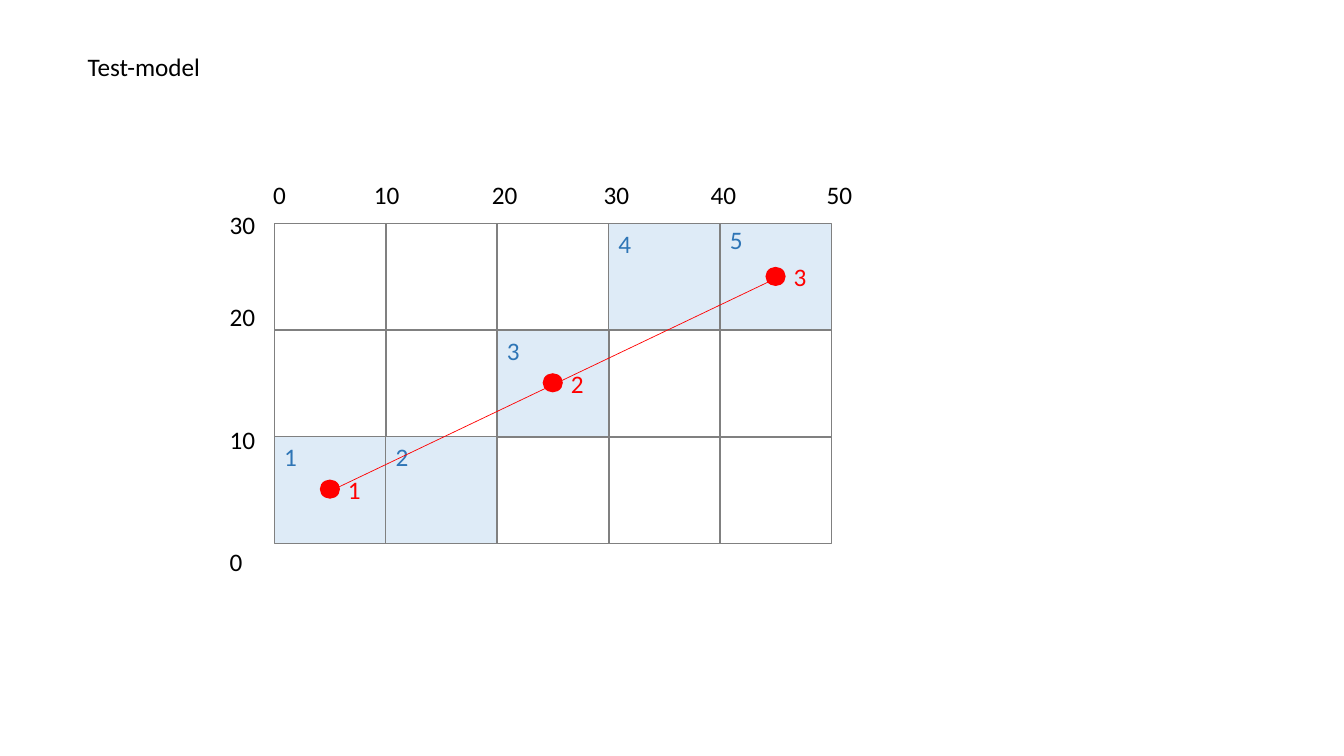
import pptx
import pptx.dml.color
import pptx.enum.shapes
import pptx.enum.text
import pptx.oxml.ns
import pptx.util
from lxml import etree

RGB = pptx.dml.color.RGBColor
Inches = pptx.util.Inches
Pt = pptx.util.Pt
SHAPE = pptx.enum.shapes.MSO_SHAPE
qn = pptx.oxml.ns.qn

BLACK = RGB(0, 0, 0)
RED = RGB(0xFF, 0, 0)
BLUE = RGB(0x2E, 0x75, 0xB6)
PALE = RGB(0xDE, 0xEB, 0xF7)
GRAY = RGB(0x80, 0x80, 0x80)

LEFT, TOP = 2.72, 2.22
WIDE, HIGH = 1.11, 1.06
COLS, ROWS = 5, 3
ACTIVE = [(0, 2), (1, 2), (2, 1), (3, 0), (4, 0)]
NODES = [(0, 2), (2, 1), (4, 0)]
FONT = {"name": "Calibri", "size": Pt(18)}


def place(col, row):
    """Turn grid columns and rows into inches."""
    return LEFT + col * (WIDE - 0.005), TOP + row * (HIGH - 0.005)


def draw(slide, kind, box, fill=None, edge=None):
    """Add a preset shape with a plain fill and edge."""
    shape = slide.shapes.add_shape(kind, *map(Inches, box))
    shape.shadow.inherit = False
    for part, color in ((shape.fill, fill), (shape.line.fill, edge)):
        if color is None:
            part.background()
        else:
            part.solid()
            part.fore_color.rgb = color
    if edge is not None:
        shape.line.width = Pt(1)


def write(slide, box, lines, color=BLACK, gaps=(0,)):
    """Add a text box with a gap in points before each line."""
    frame = slide.shapes.add_textbox(*map(Inches, box)).text_frame
    frame.word_wrap = True
    frame.auto_size = pptx.enum.text.MSO_AUTO_SIZE.SHAPE_TO_FIT_TEXT
    frame.text = "\n".join(lines)
    for para, gap in zip(frame.paragraphs, gaps):
        para.space_before = Pt(gap)
        for run in para.runs:
            for key, value in FONT.items():
                setattr(run.font, key, value)
            run.font.color.rgb = color
    return frame


def set_tabs(frame, stops):
    """Set left tab stops, in inches, on the first paragraph."""
    props = frame.paragraphs[0]._p.get_or_add_pPr()
    tabs = etree.SubElement(props, qn("a:tabLst"))
    for stop in stops:
        etree.SubElement(tabs, qn("a:tab"), pos=str(Inches(stop)), algn="l")


def link(slide, start, end):
    """Draw the thin red line between two grid points."""
    ends = [Inches(n) for n in place(*start) + place(*end)]
    line = slide.shapes.add_connector(
        pptx.enum.shapes.MSO_CONNECTOR.STRAIGHT, *ends)
    line.line.color.rgb = RED
    line.line.width = Pt(0.5)
    etree.SubElement(line._element.spPr, qn("a:effectLst"))


def add_grid(slide):
    """Draw the cells and number the active ones."""
    for row in range(ROWS):
        for col in range(COLS):
            fill = PALE if (col, row) in ACTIVE else None
            draw(slide, SHAPE.RECTANGLE, (*place(col, row), WIDE, HIGH),
                 fill, GRAY)
    for num, (col, row) in enumerate(ACTIVE, 1):
        x, y = place(col, row)
        lift = 0.04 if num == len(ACTIVE) else 0
        write(slide, (x, y - lift, 0.35, 0.4), [str(num)], BLUE)


def add_nodes(slide):
    """Draw a numbered dot in the middle of each node cell."""
    for num, (col, row) in enumerate(NODES, 1):
        x, y = place(col + 0.5, row + 0.5)
        draw(slide, SHAPE.OVAL, (x - 0.1, y - 0.1, 0.2, 0.19), RED)
        write(slide, (x + 0.08, y - 0.2, 0.35, 0.4), [str(num)], RED)


def add_axes(slide):
    """Write the scales above and beside the grid."""
    write(slide, (2.18, 2.03, 0.57, 3.74), ["30", "20", "10", "0"],
          gaps=(0, 44, 66, 66))
    marks = "\t".join(str(10 * n) for n in range(COLS + 1))
    scale = write(slide, (2.61, 1.73, 6.27, 0.4), [marks])
    set_tabs(scale, (1, 2.17, 3.28, 4.34, 5.49))


def main():
    """Build the slide and save it."""
    deck = pptx.Presentation()
    deck.slide_width, deck.slide_height = Inches(13.33), Inches(7.5)
    slide = deck.slides.add_slide(deck.slide_layouts[6])
    add_grid(slide)
    add_nodes(slide)
    link(slide, (0.57, 2.48), (4.43, 0.55))
    write(slide, (0.77, 0.46, 2.93, 0.71), ["Test-model"])
    add_axes(slide)
    deck.save("out.pptx")


main()
